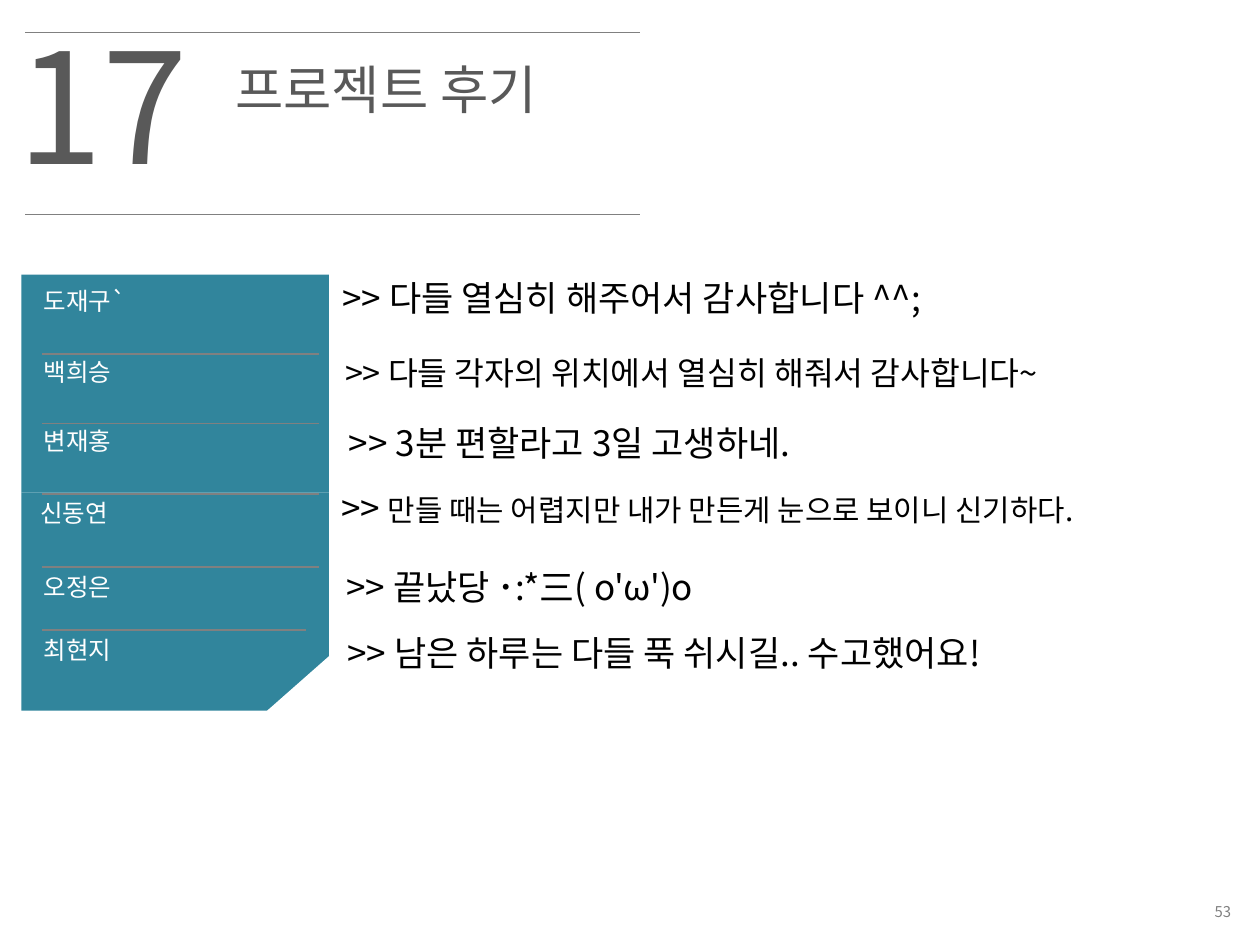
import pptx
import pptx.util
import pptx.dml.color
import pptx.enum.shapes
import pptx.enum.text
import pptx.oxml.ns
from lxml import etree

Inches = pptx.util.Inches
SHAPE = pptx.enum.shapes.MSO_SHAPE
ALIGN = pptx.enum.text.PP_ALIGN
ANCHOR = pptx.enum.text.MSO_ANCHOR
qn = pptx.oxml.ns.qn

FONT = "Noto Sans CJK KR"
COLORS = {"teal": "31859C", "gray": "808080", "dark": "595959",
          "white": "FFFFFF", "black": "000000"}

# name, left, top
NAMES = [("도재구`", 0.25, 2.25), ("백희승", 0.25, 2.81), ("변재홍", 0.25, 3.36),
         ("신동연", 0.22, 3.93), ("오정은", 0.25, 4.52), ("최현지", 0.25, 5.02)]

# left, top, width, marker size, comment size, comment
COMMENTS = [
    (2.62, 2.18, 5.5, 20, 20, "다들 열심히 해주어서 감사합니다 ^^;"),
    (2.64, 2.79, 6.7, 18.5, 18.5, "다들 각자의 위치에서 열심히 해줘서 감사합니다~"),
    (2.67, 3.33, 5.5, 20, 20, "3분 편할라고 3일 고생하네."),
    (2.61, 3.85, 7.2, 20, 17, "만들 때는 어렵지만 내가 만든게 눈으로 보이니 신기하다."),
    (2.65, 4.48, 5.5, 20, 20, "끝났당 ･:*三( o'ω')o"),
    (2.66, 5.0, 7.0, 20, 20, "남은 하루는 다들 푹 쉬시길.. 수고했어요!"),
]

# left, right, y
RULES = [(0.2, 5.08, 0.26), (0.2, 5.08, 1.7),
         (0.33, 2.53, 2.81), (0.33, 2.53, 3.36), (0.33, 2.53, 3.92),
         (0.33, 2.53, 4.5), (0.33, 2.43, 5.0)]


def rgb(name):
    return pptx.dml.color.RGBColor.from_string(COLORS[name])


def add_run(p, text, size, color):
    r = p.add_run()
    r.text = text
    r.font.size = pptx.util.Pt(size)
    r.font.name = FONT
    r.font.color.rgb = rgb(color)
    ea = etree.SubElement(r.font._element, qn("a:ea"))
    ea.set("typeface", FONT)


def add_text(s, text, x, y, w, h, size=14, color="black", align=ALIGN.LEFT,
             anchor=ANCHOR.TOP, spacing=0.9):
    """Add a text box; text is a string or a list of (string, size) runs."""
    tf = s.shapes.add_textbox(Inches(x), Inches(y), Inches(w), Inches(h)).text_frame
    tf.word_wrap = True
    tf.vertical_anchor = anchor
    p = tf.paragraphs[0]
    p.alignment = align
    p.line_spacing = spacing
    runs = [(text, size)] if isinstance(text, str) else text
    for part, part_size in runs:
        add_run(p, part, part_size, color)


def add_block(s, kind, x, y, w, h, color):
    sp = s.shapes.add_shape(kind, Inches(x), Inches(y), Inches(w), Inches(h))
    sp.shadow.inherit = False
    sp.fill.solid()
    sp.fill.fore_color.rgb = rgb(color)
    sp.line.fill.background()
    return sp


def add_rule(s, left, right, y):
    line = s.shapes.add_connector(pptx.enum.shapes.MSO_CONNECTOR.STRAIGHT,
                                  Inches(left), Inches(y), Inches(right), Inches(y))
    line.line.color.rgb = rgb("gray")
    line.line.width = pptx.util.Pt(0.75)
    etree.SubElement(line._element.spPr, qn("a:effectLst"))


def add_name_panel(s):
    """Teal panel in two halves, with its lower right corner cut off."""
    for y in (2.18, 3.91):
        add_block(s, SHAPE.RECTANGLE, 0.17, y, 2.44, 1.73, "teal")
    corner = add_block(s, SHAPE.RIGHT_TRIANGLE, 2.03, 5.2, 0.59, 0.52, "white")
    corner._element.spPr.find(qn("a:xfrm")).set("flipH", "1")


def main():
    prs = pptx.Presentation()
    prs.slide_width, prs.slide_height = Inches(10), Inches(7.5)
    s = prs.slides.add_slide(prs.slide_layouts[6])

    add_name_panel(s)
    for rule in RULES:
        add_rule(s, *rule)
    add_text(s, "17", 0.04, 0.2, 2.13, 1.58, size=88, color="dark")
    add_text(s, "프로젝트 후기", 1.77, 0.46, 4.49, 0.61, size=30, color="dark")
    for name, x, y in NAMES:
        add_text(s, name, x, y, 2.36, 0.34, color="white")
    for x, y, w, marker_size, size, comment in COMMENTS:
        add_text(s, [(">> ", marker_size), (comment, size)], x, y, w, 0.55)
    add_text(s, "53", 7.76, 7.1, 2.11, 0.27, size=8.5, color="gray",
             align=ALIGN.RIGHT, anchor=ANCHOR.MIDDLE, spacing=1.0)

    prs.save("out.pptx")


if __name__ == "__main__":
    main()
